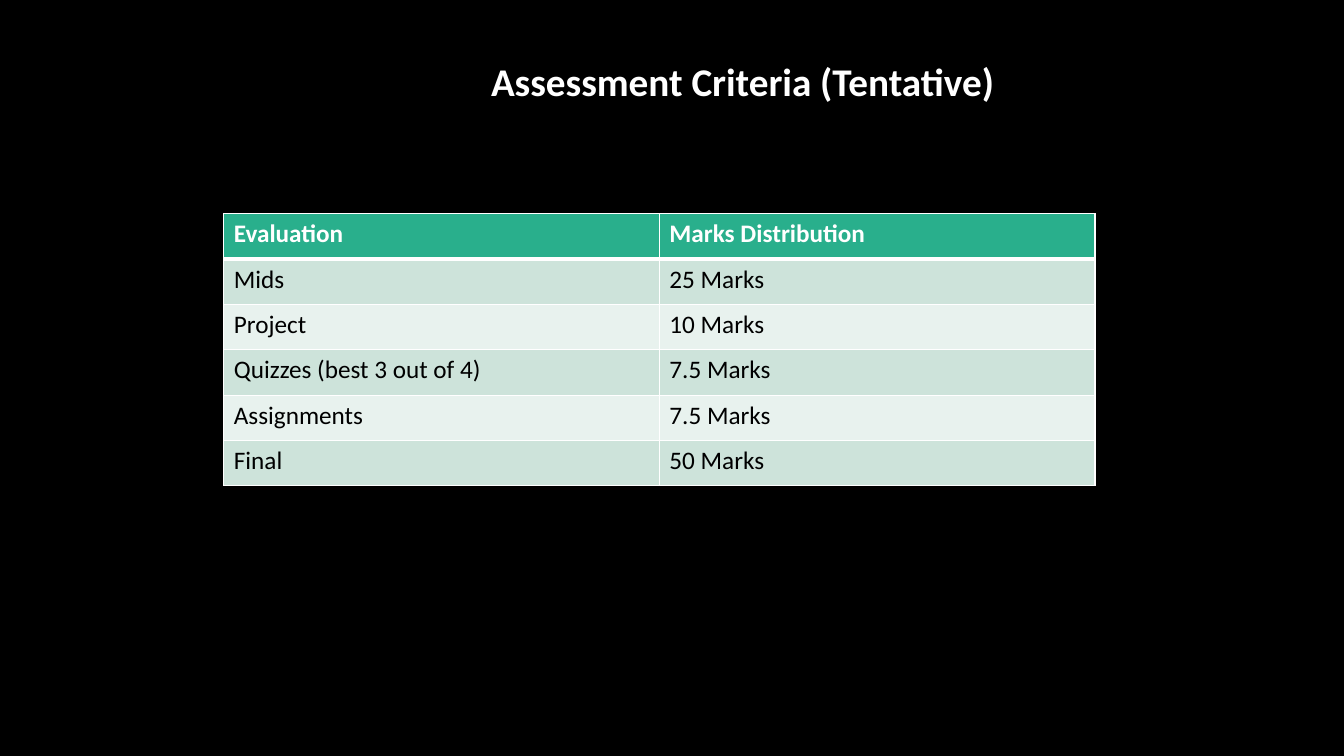
from dataclasses import dataclass

from lxml.etree import SubElement
from pptx import Presentation
from pptx.dml.color import RGBColor
from pptx.enum.text import MSO_ANCHOR as Anchor, MSO_AUTO_SIZE as AutoSize, PP_ALIGN as Align
from pptx.oxml.ns import qn
from pptx.util import Inches, Pt


@dataclass(frozen=True)
class Theme:
    font: str = "Calibri"
    title_size: int = 28
    table_size: int = 18
    background: str = "000000"
    light: str = "FFFFFF"
    dark: str = "000000"
    header: str = "29AF8C"
    bands: tuple = ("CDE3DA", "E8F2EE")
    rule: float = 1
    header_rule: float = 3


THEME = Theme()

CRITERIA = [
    ("Evaluation", "Marks Distribution"),
    ("Mids", "25 Marks"),
    ("Project", "10 Marks"),
    ("Quizzes (best 3 out of 4)", "7.5 Marks"),
    ("Assignments", "7.5 Marks"),
    ("Final", "50 Marks"),
]


def write_text(frame, text, *, size, color, bold=False):
    paragraph = frame.paragraphs[0]
    paragraph.alignment = Align.LEFT
    run = paragraph.add_run()
    run.text = text
    run.font.name = THEME.font
    run.font.size = Pt(size)
    run.font.bold = bold
    run.font.color.rgb = RGBColor.from_string(color)


def set_borders(cell, **widths):
    """Draw cell borders; keys are the sides L, R, T, B in points."""
    properties = cell._tc.get_or_add_tcPr()
    for side, width in widths.items():
        line = SubElement(properties, qn(f"a:ln{side}"), w=str(Pt(width)))
        fill = SubElement(line, qn("a:solidFill"))
        SubElement(fill, qn("a:srgbClr"), val=THEME.light)


def add_title(slide, text):
    title = slide.shapes.title
    title.left, title.top = Inches(4.77), Inches(0.52)
    title.width, title.height = Inches(5.24), Inches(0.57)
    frame = title.text_frame
    frame.word_wrap = True
    frame.auto_size = AutoSize.SHAPE_TO_FIT_TEXT
    frame.vertical_anchor = Anchor.TOP
    write_text(frame, text, size=THEME.title_size, color=THEME.light, bold=True)


def add_criteria_table(slide, rows):
    table = slide.shapes.add_table(
        len(rows), len(rows[0]), Inches(2.22), Inches(2.12), Inches(8.64), Inches(0.45 * len(rows))
    ).table
    for row_index, row in enumerate(rows):
        is_header = row_index == 0
        fill = THEME.header if is_header else THEME.bands[(row_index - 1) % 2]
        for column_index, text in enumerate(row):
            cell = table.cell(row_index, column_index)
            # The thick rule is shared by the header and the first body row
            set_borders(
                cell,
                L=THEME.rule,
                R=THEME.rule,
                T=THEME.header_rule if row_index == 1 else THEME.rule,
                B=THEME.header_rule if is_header else THEME.rule,
            )
            cell.fill.solid()
            cell.fill.fore_color.rgb = RGBColor.from_string(fill)
            write_text(
                cell.text_frame,
                text,
                size=THEME.table_size,
                color=THEME.light if is_header else THEME.dark,
                bold=is_header,
            )


def main():
    deck = Presentation()
    deck.slide_width, deck.slide_height = Inches(13.33), Inches(7.5)
    slide = deck.slides.add_slide(deck.slide_layouts.get_by_name("Title Only"))

    # Background
    slide.background.fill.solid()
    slide.background.fill.fore_color.rgb = RGBColor.from_string(THEME.background)

    # Content
    add_title(slide, "Assessment Criteria (Tentative)")
    add_criteria_table(slide, CRITERIA)

    deck.save("out.pptx")


if __name__ == "__main__":
    main()
